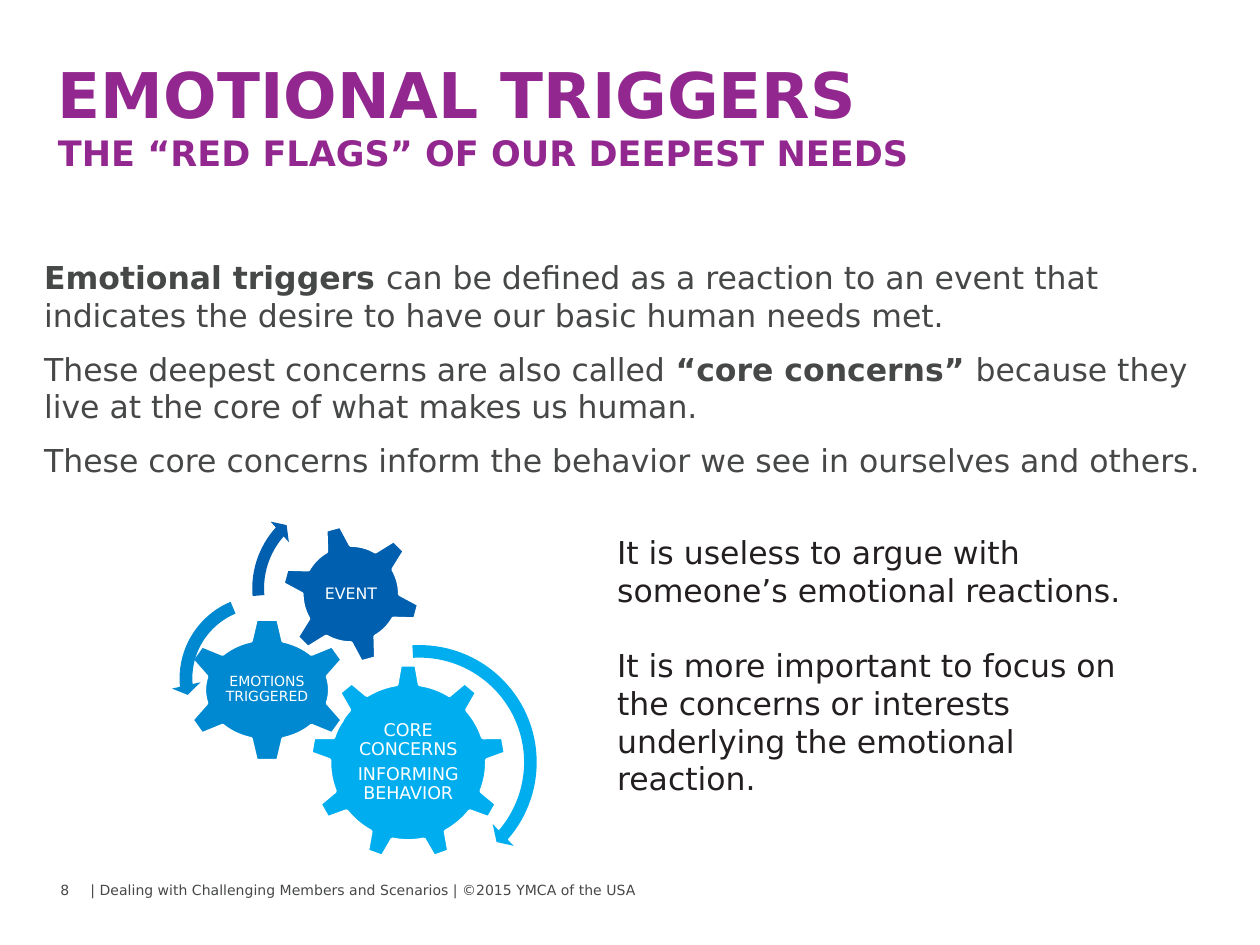
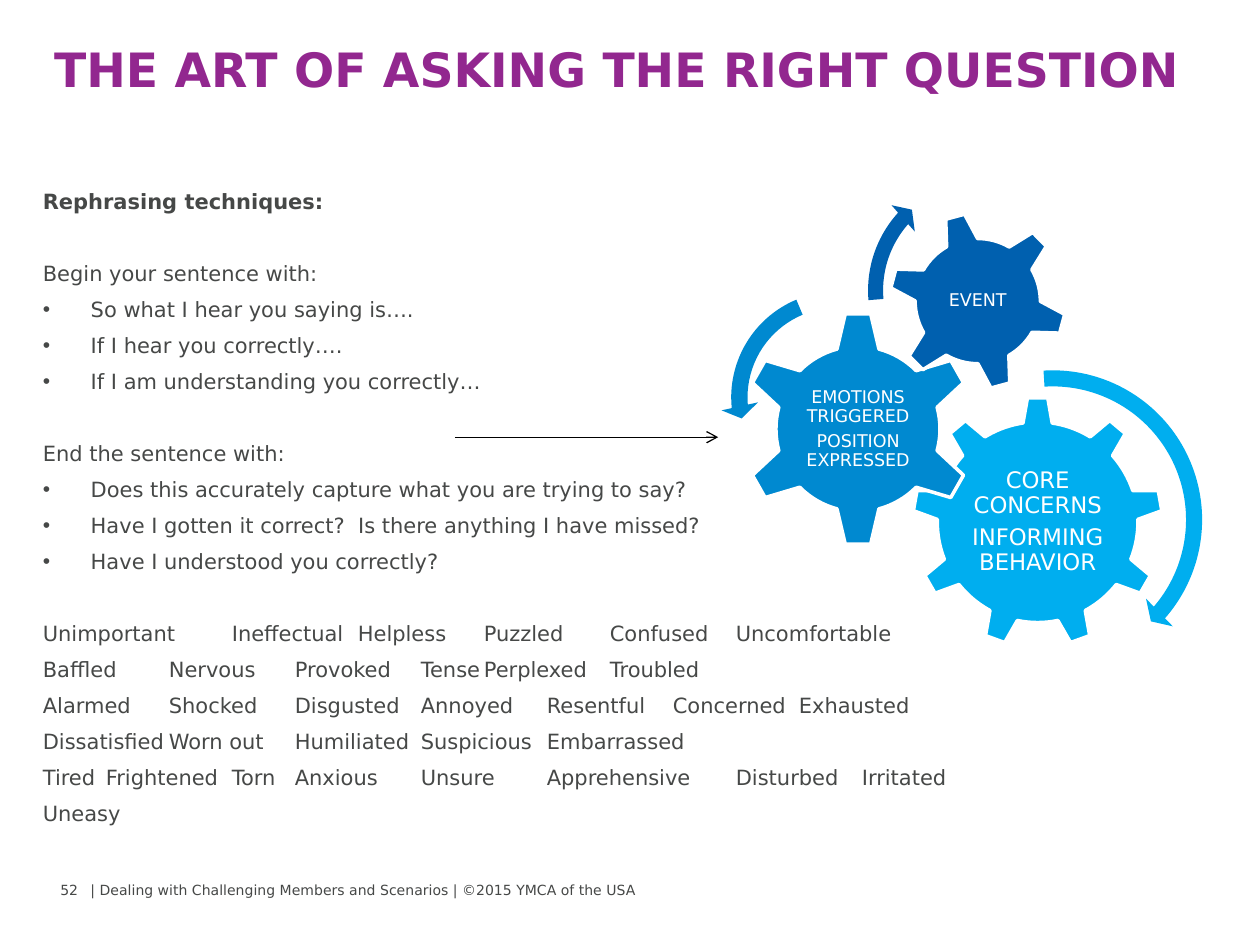
from lxml.etree import SubElement
from pptx import Presentation
from pptx.dml.color import RGBColor
from pptx.enum.shapes import MSO_CONNECTOR as Connector, MSO_SHAPE as Shape
from pptx.enum.text import MSO_ANCHOR as Anchor, MSO_AUTO_SIZE as AutoSize, PP_ALIGN as Align
from pptx.oxml.ns import qn
from pptx.util import Inches, Pt

# Shared style
PURPLE = RGBColor(0x92, 0x27, 0x8F)
GRAY = RGBColor(0x46, 0x48, 0x47)
INK = RGBColor(0x23, 0x1F, 0x20)
BLACK = RGBColor(0, 0, 0)
WHITE = RGBColor(0xFF, 0xFF, 0xFF)
SKY = RGBColor(0x00, 0xAE, 0xEF)
BLUE = RGBColor(0x00, 0x89, 0xD0)
NAVY = RGBColor(0x00, 0x60, 0xAF)
FONT = "DejaVu Sans"
FOOTER = "| Dealing with Challenging Members and Scenarios | ©2015 YMCA of the USA"

# Arrow sweeps around the gears
CORE_SWEEP = (0.05, 2.99, 24.6, 159.89, 0.06)
EMOTION_SWEEP = (0.07, 4.3, 104.89, 148.38, 0.08)
EVENT_SWEEP = (0.06, 3.94, 133.14, 105.08, 0.07)

CORE_LABEL = ["CORE CONCERNS", "INFORMING BEHAVIOR"]

REPHRASING = [  # text, bulleted, starts a new group
    ("Rephrasing techniques:", False, False),
    ("Begin your sentence with:", False, True),
    ("So what I hear you saying is….", True, False),
    ("If I hear you correctly….", True, False),
    ("If I am understanding you correctly…", True, False),
    ("End the sentence with:", False, True),
    ("Does this accurately capture what you are trying to say?", True, False),
    ("Have I gotten it correct?  Is there anything I have missed?", True, False),
    ("Have I understood you correctly?", True, False),
]

FEELINGS = [  # words of a row, tab stops in inches
    ("Unimportant Ineffectual Helpless Puzzled Confused Uncomfortable".split(),
     (1.37, 2.52, 3.48, 4.43, 5.48)),
    ("Baffled Nervous Provoked Tense Perplexed Troubled".split(),
     (1.33, 2.44, 3.41, 4.36, 5.44)),
    ("Alarmed Shocked Disgusted Annoyed Resentful Concerned Exhausted".split(),
     (1.75, 2.87, 3.86, 4.81, 5.9, 7.17)),
    (["Dissatisfied", "Worn out", "Humiliated", "Suspicious", "Embarrassed"],
     (1.75, 2.87, 3.88, 5.96)),
    ("Tired Frightened Torn Anxious Unsure Apprehensive Disturbed Irritated".split(),
     (1.75, 2.9, 3.95, 4.88, 5.89, 7.38, 8.37)),
    (["Uneasy"], ()),
]


def apply(target, formats):
    for name, value in formats.items():
        setattr(target, name, value)


class Deck:
    def __init__(self):
        self.file = Presentation()
        self.file.slide_width, self.file.slide_height = Inches(10), Inches(7.5)
        self.page = None

    def add_page(self, number):
        self.page = self.file.slides.add_slide(self.file.slide_layouts[1])
        self.text_box(0.38, 6.95, 0.45, 0.24, [number], 8, GRAY)
        self.text_box(0.62, 6.95, 8.9, 0.31, [FOOTER], 8, GRAY)

    def span(self, para, text, size, color, bold=False):
        span = para.add_run()
        span.text = text
        apply(span.font, {"name": FONT, "size": Pt(size), "bold": bold})
        span.font.color.rgb = color

    def place(self, box, left, top, width, height):
        apply(box, {"left": Inches(left), "top": Inches(top),
                    "width": Inches(width), "height": Inches(height)})
        apply(box.text_frame, {"word_wrap": True, "auto_size": AutoSize.NONE,
                               "vertical_anchor": Anchor.TOP})
        return box.text_frame

    def next_para(self, frame, **formats):
        """Use the empty first paragraph, or add one with its space before."""
        if frame.paragraphs[0].runs:
            para = frame.add_paragraph()
        else:
            para = frame.paragraphs[0]
            formats["space_before"] = Pt(0)
        apply(para, formats)
        return para

    def title(self, left, top, width, height, lines):
        frame = self.place(self.page.shapes.title, left, top, width, height)
        para = self.next_para(frame, alignment=Align.LEFT)
        for index, (text, size) in enumerate(lines):
            if index:
                para.add_line_break()
            self.span(para, text, size, PURPLE, True)

    def body(self, left, top, width, height):
        return self.place(self.page.placeholders[1], left, top, width, height)

    def body_para(self, frame, spans, size, gap, bullet=False, stops=()):
        para = self.next_para(frame, space_before=Pt(gap))
        props = para._p.get_or_add_pPr()
        indent = Inches(0.38) if bullet else 0
        props.set("marL", str(indent))
        props.set("indent", str(-indent))
        if bullet:
            SubElement(props, qn("a:buFont"), typeface="Arial")
            SubElement(props, qn("a:buChar"), char="•")
        else:
            SubElement(props, qn("a:buNone"))
        if stops:
            tabs = SubElement(props, qn("a:tabLst"))
            for stop in stops:
                SubElement(tabs, qn("a:tab"), pos=str(Inches(stop)), algn="l")
        for text, bold in spans:
            self.span(para, text, size, GRAY, bold)

    def text_box(self, left, top, width, height, texts, size, color, **formats):
        box = self.page.shapes.add_textbox(0, 0, 0, 0)
        frame = self.place(box, left, top, width, height)
        for text in texts:
            self.span(self.next_para(frame, **formats), text, size, color)
        return frame

    def preset(self, kind, left, top, width, height, color):
        shape = self.page.shapes.add_shape(
            kind, Inches(left), Inches(top), Inches(width), Inches(height))
        shape.shadow.inherit = False
        shape.fill.solid()
        shape.fill.fore_color.rgb = color
        return shape

    def gear(self, kind, left, top, width, height, color, label, size, label_size, turn=0):
        """Draw a gear with its label centred on it."""
        gear = self.preset(kind, left, top, width, height, color)
        gear.rotation = turn
        gear.line.color.rgb = WHITE
        gear.line.width = Pt(2)
        wide, high = label_size
        frame = self.text_box(left + (width - wide) / 2, top + (height - high) / 2,
                              wide, high, label, size, WHITE, alignment=Align.CENTER,
                              line_spacing=0.9, space_after=Pt(size * 0.35))
        inset = Inches(0.01)
        apply(frame, {"margin_left": inset, "margin_right": inset, "margin_top": inset,
                      "margin_bottom": inset, "vertical_anchor": Anchor.MIDDLE})

    def sweep(self, kind, left, top, side, color, values):
        arrow = self.preset(kind, left, top, side, side, color)
        arrow.line.fill.background()
        for index, value in enumerate(values):
            arrow.adjustments[index] = value

    def sweeps(self, core, emotion, event):
        self.sweep(Shape.CIRCULAR_ARROW, *core, SKY, CORE_SWEEP)
        self.sweep(Shape.LEFT_CIRCULAR_ARROW, *emotion, BLUE, EMOTION_SWEEP)
        self.sweep(Shape.CIRCULAR_ARROW, *event, NAVY, EVENT_SWEEP)

    def arrow(self, left, right, level):
        line = self.page.shapes.add_connector(
            Connector.STRAIGHT, Inches(left), Inches(level), Inches(right), Inches(level))
        line.line.color.rgb = BLACK
        line.line.width = Pt(0.75)
        SubElement(line.line._get_or_add_ln(), qn("a:tailEnd"), type="arrow")
        SubElement(line._element.spPr, qn("a:effectLst"))


def triggers_page(deck):
    deck.add_page("8")
    deck.title(0.36, 0.39, 9.16, 1.06, [
        ("EMOTIONAL TRIGGERS", 36), ("THE “RED FLAGS” OF OUR DEEPEST NEEDS", 20)])

    # Definition
    frame = deck.body(0.25, 2, 9.45, 2.1)
    for spans in (
        [("Emotional triggers ", True),
         ("can be defined as a reaction to an event that indicates the desire "
          "to have our basic human needs met.", False)],
        [("These deepest concerns are also called ", False), ("“core concerns” ", True),
         ("because they live at the core of what makes us human.", False)],
        [("These core concerns inform the behavior we see in ourselves and others.", False)],
    ):
        deck.body_para(frame, spans, 18, 9)

    # Gears
    deck.gear(Shape.GEAR_9, 2.46, 5.27, 1.56, 1.56, SKY, CORE_LABEL, 10, (0.93, 0.8))
    deck.gear(Shape.GEAR_6, 1.45, 4.9, 1.34, 1.15, BLUE,
              ["EMOTIONS TRIGGERED"], 8, (0.71, 0.57))
    deck.gear(Shape.GEAR_6, 2.23, 4.16, 1.11, 1.11, NAVY, ["EVENT"], 9, (0.62, 0.62), 345)
    deck.sweeps((2.33, 5.05, 2), (1.36, 4.66, 1.45), (1.94, 3.89, 1.56))

    # Advice
    deck.text_box(4.8, 4.18, 4.53, 2.22, [
        "It is useless to argue with someone’s emotional reactions.",
        "It is more important to focus on the concerns or interests underlying "
        "the emotional reaction."], 18, INK, space_before=Pt(21.5))


def question_page(deck):
    deck.add_page("52")
    deck.title(0.33, 0.27, 9.47, 0.73, [("THE ART OF ASKING THE RIGHT QUESTION", 27)])

    # Techniques, then the feelings in tabbed rows
    frame = deck.body(0.24, 1.45, 9.45, 5.5)
    gap, group_gap = 6.2, 26.6
    for index, (text, bullet, new_group) in enumerate(REPHRASING):
        deck.body_para(frame, [(text, index == 0)], 12,
                       group_gap if new_group else gap, bullet)
    for index, (words, stops) in enumerate(FEELINGS):
        deck.body_para(frame, [("\t".join(words), False)], 12,
                       gap if index else group_gap, stops=stops)

    # Gears
    deck.gear(Shape.GEAR_9, 7.24, 3.15, 1.99, 1.99, SKY, CORE_LABEL, 13, (1.19, 1.02))
    deck.gear(Shape.GEAR_6, 5.88, 2.47, 1.86, 1.87, BLUE,
              ["EMOTIONS TRIGGERED", "POSITION EXPRESSED"], 10, (0.92, 0.92))
    deck.gear(Shape.GEAR_6, 7.05, 1.68, 1.42, 1.42, NAVY, ["EVENT"], 10, (0.8, 0.8), 345)
    deck.sweeps((7.08, 2.85, 2.55), (5.72, 2.23, 1.85), (6.81, 1.31, 1.99))
    deck.arrow(3.61, 5.7, 3.47)


def main():
    deck = Deck()
    triggers_page(deck)
    question_page(deck)
    deck.file.save("out.pptx")


if __name__ == "__main__":
    main()
